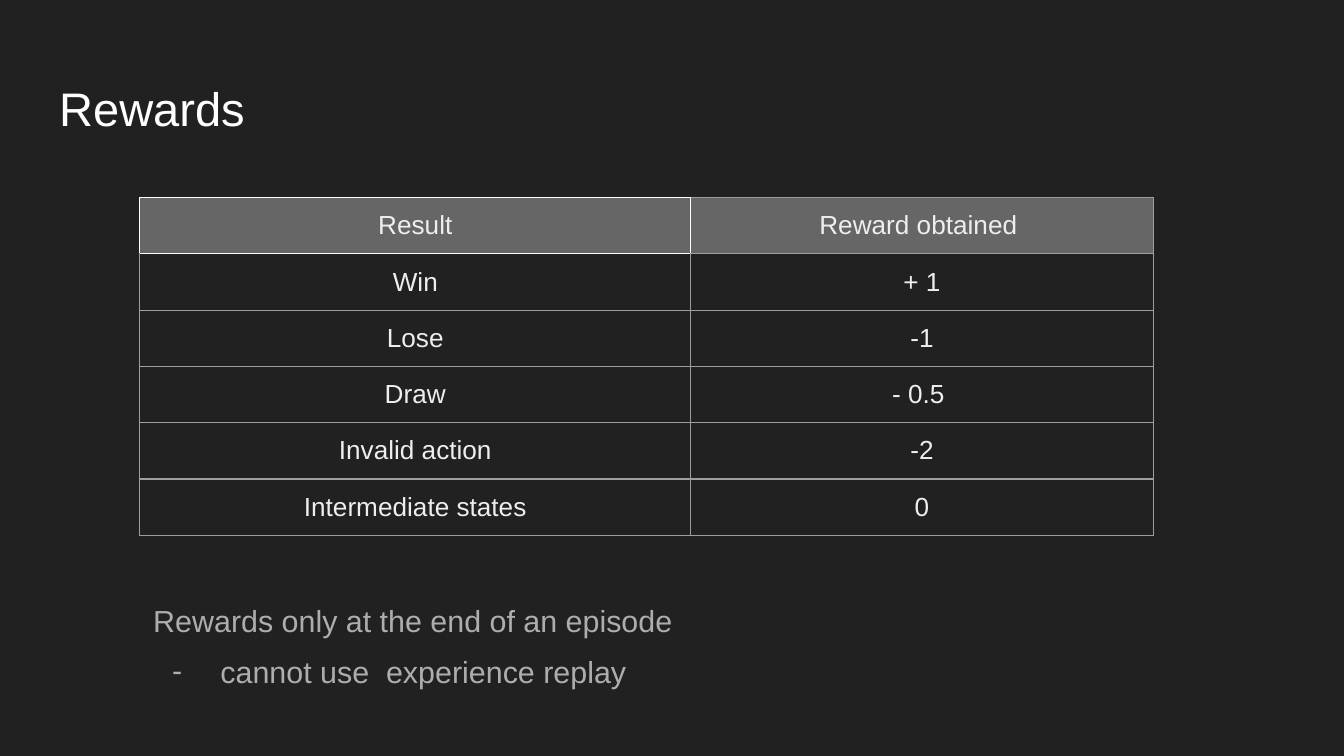
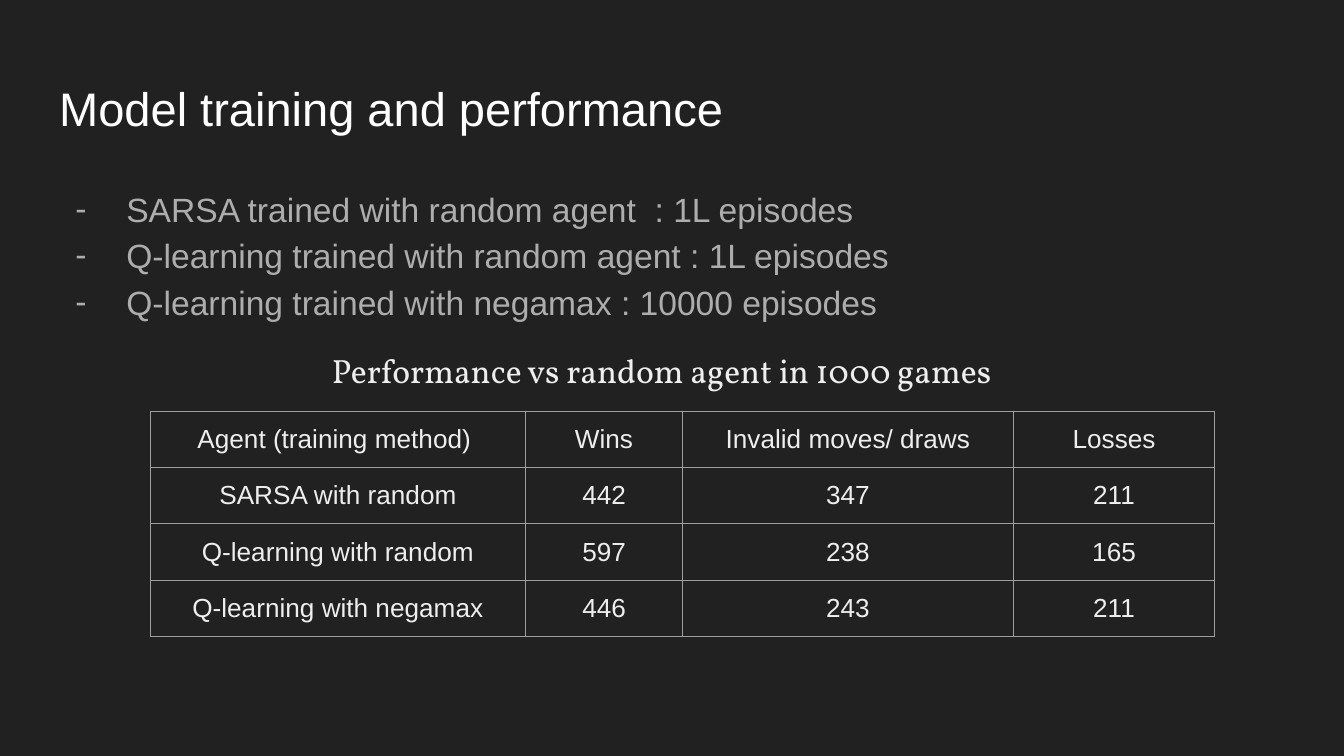
import pptx
import pptx.dml.color
import pptx.enum.text
import pptx.oxml
import pptx.oxml.ns
import pptx.util
import lxml.etree

COLOURS = {
    "background": "212121",
    "title": "FFFFFF",
    "body": "ADADAD",
    "light": "EEEEEE",
    "header": "666666",
    "border": "9E9E9E",
    "highlight": "FFFFFF",
}
SLIDE_WIDTH = pptx.util.Inches(10)
SLIDE_HEIGHT = SLIDE_WIDTH * 9 // 16
COLUMNS = 100
ROW_HEIGHT = 4.18
INSET = 1
ALIGN = pptx.enum.text.PP_ALIGN


def grid(units):
    """Convert square grid units, a hundred across the slide, to a length."""
    return pptx.util.Emu(round(SLIDE_WIDTH / COLUMNS * units))


def rgb(name):
    """Return the named colour."""
    return pptx.dml.color.RGBColor.from_string(COLOURS[name])


def write_run(paragraph, text, size, colour, face="Arial"):
    """Add one formatted run to a paragraph."""
    run = paragraph.add_run()
    run.text = text
    run.font.size = pptx.util.Pt(size)
    run.font.name = face
    run.font.color.rgb = rgb(colour)


def place(holder, left, top, width, height):
    """Move a placeholder on the grid and return its text frame."""
    holder.left, holder.top = grid(left), grid(top)
    holder.width, holder.height = grid(width), grid(height)
    frame = holder.text_frame
    frame.margin_left = frame.margin_right = grid(INSET)
    frame.margin_top = frame.margin_bottom = grid(INSET)
    frame.word_wrap = True
    frame.auto_size = pptx.enum.text.MSO_AUTO_SIZE.NONE
    frame.vertical_anchor = pptx.enum.text.MSO_ANCHOR.TOP
    return frame


def add_titled_slide(deck, title):
    """Add a title-and-body slide with its heading."""
    slide = deck.slides.add_slide(deck.slide_layouts[1])
    heading = place(slide.shapes.title, 3.4, 4.9, 93.2, 6.3).paragraphs[0]
    heading.alignment = ALIGN.LEFT
    write_run(heading, title, 25.2, "title")
    return slide


def set_marker(paragraph, indent, hanging, dash):
    """Set the indent of a paragraph and its dash, if it has one."""
    props = paragraph._p.get_or_add_pPr()
    props.set("marL", str(grid(indent)))
    props.set("indent", str(-grid(hanging)))
    qn = pptx.oxml.ns.qn
    if not dash:
        lxml.etree.SubElement(props, qn("a:buNone"))
        return
    tint = lxml.etree.SubElement(props, qn("a:buClr"))
    lxml.etree.SubElement(tint, qn("a:srgbClr"), val=COLOURS["body"])
    lxml.etree.SubElement(props, qn("a:buFont"), typeface="Arial")
    lxml.etree.SubElement(props, qn("a:buChar"), char="-")


def add_line(frame, text, size, spacing, indent=0, hanging=0, before=0, after=0,
             colour="body", face="Arial"):
    """Add a body paragraph, dashed when it has a hanging indent."""
    first = frame.paragraphs[0]
    line = frame.add_paragraph() if first.runs else first
    set_marker(line, indent, hanging, dash=hanging > 0)
    line.alignment = ALIGN.LEFT
    line.line_spacing = spacing
    line.space_before = pptx.util.Pt(before)
    line.space_after = pptx.util.Pt(after)
    write_run(line, text, size, colour, face)


def draw_borders(cell, highlighted):
    """Draw the four cell borders, in the highlight colour on the given sides."""
    props = cell._tc.get_or_add_tcPr()
    for position, side in enumerate("LRTB"):
        colour = COLOURS["highlight" if side in highlighted else "border"]
        props.insert(position, pptx.oxml.parse_xml(
            f'<a:ln{side} {pptx.oxml.ns.nsdecls("a")} w="{pptx.util.Pt(0.75)}">'
            f'<a:solidFill><a:srgbClr val="{colour}"/></a:solidFill>'
            f'<a:prstDash val="solid"/></a:ln{side}>'))


def add_results(slide, left, top, widths, records, header_fill=None, highlights=None):
    """Add a bordered table of centred text."""
    table = slide.shapes.add_table(
        len(records), len(widths), grid(left), grid(top),
        grid(sum(widths)), grid(ROW_HEIGHT * len(records))).table
    table.first_row = table.horz_banding = False
    for column, width in zip(table.columns, widths):
        column.width = grid(width)
    for r, record in enumerate(records):
        table.rows[r].height = grid(ROW_HEIGHT)
        for c, value in enumerate(record):
            cell = table.cell(r, c)
            cell.margin_left = cell.margin_right = grid(INSET)
            cell.margin_top = cell.margin_bottom = grid(INSET)
            if r == 0 and header_fill:
                cell.fill.solid()
                cell.fill.fore_color.rgb = rgb(header_fill)
            else:
                cell.fill.background()
            draw_borders(cell, (highlights or {}).get((r, c), ""))
            entry = cell.text_frame.paragraphs[0]
            entry.alignment = ALIGN.CENTER
            write_run(entry, value, 14, "light")


def build_rewards(deck):
    """Build the slide on rewards."""
    slide = add_titled_slide(deck, "Rewards")
    remarks = place(slide.placeholders[1], 10.4, 44.3, 75.4, 8)
    add_line(remarks, "Rewards only at the end of an episode", 16.3, 0.8)
    add_line(remarks, "cannot use  experience replay", 16.3, 0.8,
             indent=5, hanging=3.6, before=12)
    rewards = [
        ("Result", "Reward obtained "),
        ("Win", "+ 1"),
        ("Lose", "-1"),
        ("Draw", "- 0.5 "),
        ("Invalid action", "-2"),
        ("Intermediate states", "0"),
    ]
    add_results(slide, 10.4, 14.7, (41, 34.4), rewards, "header",
                {(0, 0): "LRTB", (0, 1): "L", (1, 0): "T"})


def build_performance(deck):
    """Build the slide on training and performance."""
    slide = add_titled_slide(deck, "Model training and performance")
    trainings = place(slide.placeholders[1], 3.4, 12.6, 93.2, 37.4)
    for training in ("SARSA trained with random agent  : 1L episodes",
                     "Q-learning trained with random agent : 1L episodes",
                     "Q-learning trained with negamax : 10000 episodes"):
        add_line(trainings, training, 18, 1.15, indent=5, hanging=3.8)
    add_line(trainings, "Performance vs random agent in 1000 games", 18, 1.15,
             indent=20.3, before=12, after=12, colour="light", face="Vollkorn")
    performance = [
        ("Agent (training method) ", "Wins", "Invalid moves/ draws", "Losses"),
        ("SARSA with random", "442", "347", "211"),
        ("Q-learning with random", "597", "238", "165"),
        ("Q-learning with negamax", "446", "243", "211"),
    ]
    add_results(slide, 11.2, 30.6, (27.9, 11.7, 24.6, 15), performance)


def main():
    """Build and save the deck."""
    deck = pptx.Presentation()
    deck.slide_width, deck.slide_height = SLIDE_WIDTH, SLIDE_HEIGHT
    backdrop = deck.slide_master.background.fill
    backdrop.solid()
    backdrop.fore_color.rgb = rgb("background")
    build_rewards(deck)
    build_performance(deck)
    deck.save("out.pptx")


if __name__ == "__main__":
    main()
